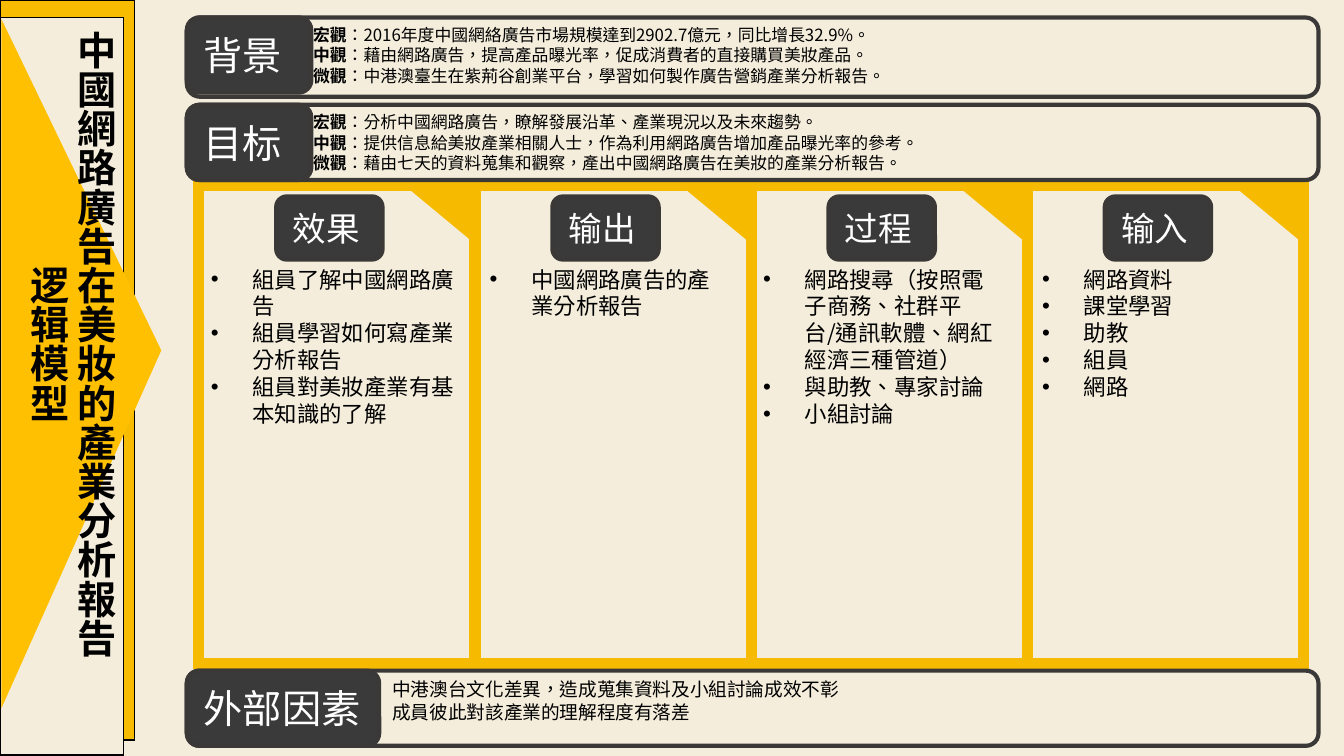
from dataclasses import dataclass

from pptx import Presentation
from pptx.dml.color import RGBColor
from pptx.enum.shapes import MSO_SHAPE as Shape
from pptx.enum.text import MSO_ANCHOR as Anchor, PP_ALIGN as Align
from pptx.util import Inches, Pt
from lxml.etree import SubElement
from pptx.oxml.ns import qn

CREAM, GOLD, AMBER, BRIGHT = "F4EDDC", "F6BB00", "F7BC00", "FFC001"
DARK, EDGE, BLACK, WHITE = "3A3A3A", "3B3838", "000000", "FFFFFF"
LATIN, CJK = "Calibri", "Noto Sans CJK TC"

TITLE = ["中國網路廣告在美妝的產業分析報告", "逻辑模型"]
BACKGROUND = [
    ("宏觀", "：2016年度中國網絡廣告市場規模達到2902.7億元，同比增長32.9%。"),
    ("中觀", "：藉由網路廣告，提高產品曝光率，促成消費者的直接購買美妝產品。"),
    ("微觀", "：中港澳臺生在紫荊谷創業平台，學習如何製作廣告營銷產業分析報告。"),
]
GOALS = [
    ("宏觀", "：分析中國網路廣告，瞭解發展沿革、產業現況以及未來趨勢。"),
    ("中觀", "：提供信息給美妝產業相關人士，作為利用網路廣告增加產品曝光率的參考。"),
    ("微觀", "：藉由七天的資料蒐集和觀察，產出中國網路廣告在美妝的產業分析報告。"),
]
EXTERNAL = [
    ("", "中港澳台文化差異，造成蒐集資料及小組討論成效不彰"),
    ("", "成員彼此對該產業的理解程度有落差"),
]
# Name, left and width of the list as shares of the column, items
COLUMNS = [
    ("效果", -0.005, 0.985, ["組員了解中國網路廣告", "組員學習如何寫產業分析報告",
                           "組員對美妝產業有基本知識的了解"]),
    ("输出", 0.005, 0.97, ["中國網路廣告的產業分析報告"]),
    ("过程", -0.005, 0.97, ["網路搜尋（按照電子商務、社群平台/通訊軟體、網紅經濟三種管道）",
                          "與助教、專家討論", "小組討論"]),
    ("输入", 0.005, 0.97, ["網路資料", "課堂學習", "助教", "組員", "網路"]),
]


@dataclass
class Box:
    left: float
    top: float
    width: float
    height: float

    def share(self, x, y, width, height):
        """Part of this box, given as shares of its width and height."""
        return Box(self.left + x * self.width, self.top + y * self.height,
                   width * self.width, height * self.height)

    def lengths(self):
        return [Inches(n) for n in (self.left, self.top, self.width, self.height)]


def colour(value):
    return RGBColor.from_string(value)


def paint(shape, fill, line, weight):
    shape.shadow.inherit = False
    if fill:
        shape.fill.solid()
        shape.fill.fore_color.rgb = colour(fill)
    else:
        shape.fill.background()
    if line:
        shape.line.color.rgb = colour(line)
        shape.line.width = Pt(weight)
        SubElement(shape.line._get_or_add_ln(), qn("a:miter"), lim="800000")
    else:
        shape.line.fill.background()
    return shape


def add_shape(page, kind, box, fill=None, line=None, weight=0.75):
    return paint(page.shapes.add_shape(kind, *box.lengths()), fill, line, weight)


def add_span(para, words, size, font, ink=BLACK, bold=False):
    span = para.add_run()
    span.text = words
    span.font.size, span.font.bold, span.font.name = Pt(size), bold, font
    span.font.color.rgb = colour(ink)
    if font == CJK:
        # Traditional Chinese centres its punctuation
        span._r.get_or_add_rPr().set("lang", "zh-TW")


def paragraphs(frame, count):
    return [frame.paragraphs[0]] + [frame.add_paragraph() for _ in range(count - 1)]


def add_text(page, box, lines, size, bulleted=False):
    """Lines are pairs of a bold lead and plain words."""
    frame = page.shapes.add_textbox(*box.lengths()).text_frame
    frame.word_wrap = True
    for para, (lead, words) in zip(paragraphs(frame, len(lines)), lines):
        if bulleted:
            props = para._p.get_or_add_pPr()
            props.set("marL", str(Inches(0.31)))
            props.set("indent", str(-Inches(0.31)))
            SubElement(props, qn("a:buFont"), typeface="Arial")
            SubElement(props, qn("a:buChar"), char="•")
        if lead:
            add_span(para, lead, size, CJK, bold=True)
        add_span(para, words, size, CJK)


def add_tab(page, box, words, size):
    tab = add_shape(page, Shape.ROUNDED_RECTANGLE, box, DARK, EDGE, 2.25)
    frame = tab.text_frame
    frame.vertical_anchor = Anchor.MIDDLE
    para = frame.paragraphs[0]
    para.alignment = Align.LEFT
    add_span(para, words, size, LATIN, WHITE)


def add_band(page, box, name, lines, tab_left, tab_width, text_left, size):
    """Outlined band with a dark tab at its left."""
    add_shape(page, Shape.ROUNDED_RECTANGLE, box, None, EDGE, 2.25)
    tab = box.share(tab_left, 0, tab_width, 1)
    tab.height = 0.56
    add_tab(page, tab, name, 21)
    add_text(page, box.share(text_left, 0.01, 1.01 - text_left, 1), lines, size)


def add_column(page, box, name, list_left, list_width, items):
    """Gold frame with a folded corner, a tab and a bulleted list."""
    add_shape(page, Shape.RECTANGLE, box, None, GOLD, 6)
    corner = add_shape(page, Shape.RIGHT_TRIANGLE,
                       box.share(0.75, 0, 0.23, 0.11), GOLD, GOLD, 1)
    corner.rotation = 180
    add_tab(page, box.share(0.28, 0.023, 0.385, 0.132), name, 18)
    add_text(page, box.share(list_left, 0.154, list_width, 0.42),
             [("", item) for item in items], 12, bulleted=True)


def add_title_panel(page, box):
    """Layered side panel with an arrow and the vertical title."""
    add_shape(page, Shape.RECTANGLE, box.share(0, 0, 1, 0.98), AMBER, BLACK)
    sheet = box.share(0, 0.023, 0.92, 0.977)
    add_shape(page, Shape.RECTANGLE, sheet, CREAM, BLACK)
    tips = [(Inches(box.left + x * box.width), Inches(box.top + y * box.height))
            for x, y in ((0.01, 0.025), (1.2, 0.464), (0.01, 0.938))]
    builder = page.shapes.build_freeform(*tips[0], scale=1.0)
    builder.add_line_segments(tips[1:], close=True)
    paint(builder.convert_to_shape(), BRIGHT, None, 0)

    title = page.shapes.title
    title.left, title.top, title.width, title.height = (
        sheet.share(0.02, 0, 0.99, 1).lengths())
    frame = title.text_frame
    frame.word_wrap = True
    frame.vertical_anchor = Anchor.TOP
    frame.margin_right = Inches(0.04)
    frame.margin_top, frame.margin_bottom = Inches(0.1), Inches(0.02)
    frame._txBody.bodyPr.set("vert", "eaVert")
    for para, words in zip(paragraphs(frame, len(TITLE)), TITLE):
        para.alignment = Align.CENTER
        add_span(para, words, 21, LATIN, bold=True)
    # The title lies above the panel
    page.shapes._spTree.append(title._element)


def main():
    deck = Presentation()
    deck.slide_width = Inches(10)
    deck.slide_height = deck.slide_width * 9 // 16
    page = deck.slides.add_slide(deck.slide_layouts[5])
    page.background.fill.solid()
    page.background.fill.fore_color.rgb = colour(CREAM)

    # Four columns of the model
    grid = Box(1.48, 1.38, 8.22, 3.56)
    for index, column in enumerate(COLUMNS):
        add_column(page, grid.share(index / 4, 0, 1 / 4, 1), *column)

    # Bands above and below the columns
    add_band(page, Box(1.39, 0.13, 8.42, 0.59), "背景", BACKGROUND, 0, 0.11, 0.1, 9)
    add_band(page, Box(1.39, 0.78, 8.42, 0.56), "目标", GOALS, 0, 0.11, 0.1, 9)
    add_band(page, Box(1.39, 4.99, 8.42, 0.56), "外部因素", EXTERNAL, 0, 0.17, 0.17, 10)

    add_title_panel(page, Box(0, 0, 1, 5.62))
    deck.save("out.pptx")


if __name__ == "__main__":
    main()
